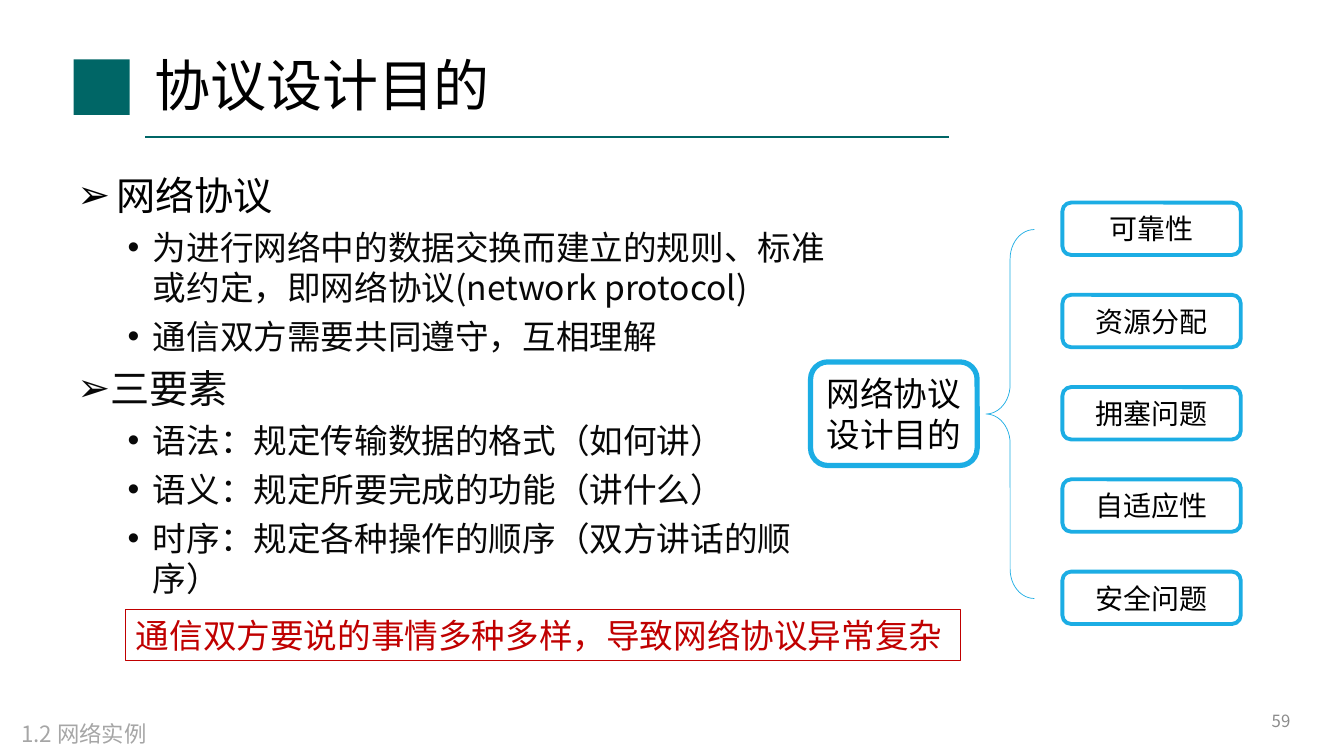
from lxml import etree
from pptx import Presentation
from pptx.dml.color import RGBColor
from pptx.enum.shapes import MSO_CONNECTOR, MSO_SHAPE
from pptx.enum.text import MSO_ANCHOR, PP_ALIGN
from pptx.oxml.ns import qn
from pptx.util import Pt

FONT = "Noto Sans CJK SC"
BLACK = RGBColor(0x00, 0x00, 0x00)
INK = RGBColor(0x08, 0x08, 0x08)
WHITE = RGBColor(0xFF, 0xFF, 0xFF)
TEAL = RGBColor(0x00, 0x66, 0x66)
BLUE = RGBColor(0x1C, 0xAD, 0xE4)
RED = RGBColor(0xC0, 0x00, 0x00)
NUMBER_GRAY = RGBColor(0x8C, 0x8C, 0x8C)
FOOTER_GRAY = RGBColor(0xA6, 0xA6, 0xA6)
LEFT, CENTER, RIGHT = PP_ALIGN.LEFT, PP_ALIGN.CENTER, PP_ALIGN.RIGHT
TOP, MIDDLE = MSO_ANCHOR.TOP, MSO_ANCHOR.MIDDLE
RECT, ROUND, BRACE = MSO_SHAPE.RECTANGLE, MSO_SHAPE.ROUNDED_RECTANGLE, MSO_SHAPE.LEFT_BRACE


def write(sp, text, size, color=BLACK, align=LEFT, anchor=TOP, wrap=True,
          before=0, bullet=None, margin=0, hanging=0, add=False):
    """Fill a shape with one paragraph per line, or add them after its text."""
    tf = sp.text_frame
    tf.word_wrap = wrap
    tf.vertical_anchor = anchor
    for i, line in enumerate(text.split("\n")):
        p = tf.add_paragraph() if add or i else tf.paragraphs[0]
        p.alignment = align
        p.space_before = Pt(before)
        if bullet:
            pPr = p._p.get_or_add_pPr()
            pPr.set("marL", str(Pt(margin)))
            pPr.set("indent", str(-Pt(hanging)))
            etree.SubElement(pPr, qn("a:buFont")).set("typeface", "Arial")
            etree.SubElement(pPr, qn("a:buChar")).set("char", bullet)
        r = p.add_run()
        r.text = line
        r.font.size = Pt(size)
        r.font.name = FONT
        r.font.color.rgb = color
        etree.SubElement(r._r.get_or_add_rPr(), qn("a:ea")).set("typeface", FONT)


def add_shape(kind, x, y, w, h, fill=None, line=None, weight=1):
    sp = s.shapes.add_shape(kind, Pt(x), Pt(y), Pt(w), Pt(h))
    sp.shadow.inherit = False
    if fill is None:
        sp.fill.background()
    else:
        sp.fill.solid()
        sp.fill.fore_color.rgb = fill
    if line is None:
        sp.line.fill.background()
    else:
        sp.line.color.rgb = line
        sp.line.width = Pt(weight)
    return sp


prs = Presentation()
prs.slide_width, prs.slide_height = Pt(960), Pt(540)
s = prs.slides.add_slide(prs.slide_layouts[5])

# Header
title = s.shapes.title
title.left, title.top, title.width, title.height = Pt(103), Pt(28.8), Pt(647), Pt(69)
write(title, "协议设计目的", 40, anchor=MIDDLE)
title.text_frame.paragraphs[0].line_spacing = 0.9
add_shape(RECT, 52.6, 42.5, 40, 39.6, fill=TEAL)
rule = s.shapes.add_connector(MSO_CONNECTOR.STRAIGHT, Pt(103.7), Pt(97.9), Pt(678), Pt(97.9))
rule.line.color.rgb = TEAL
rule.line.width = Pt(1.5)
etree.SubElement(rule._element.spPr, qn("a:effectLst"))

# Outline: heading, heading colour, heading indent, points
outline = [
    ("网络协议", BLACK, 28, [
        "为进行网络中的数据交换而建立的规则、标准或约定，即网络协议(network protocol)",
        "通信双方需要共同遵守，互相理解",
    ]),
    ("三要素", INK, 18, [
        "语法：规定传输数据的格式（如何讲）",
        "语义：规定所要完成的功能（讲什么）",
        "时序：规定各种操作的顺序（双方讲话的顺序）",
    ]),
]
body = s.shapes.add_textbox(Pt(48.2), Pt(118.8), Pt(564.5), Pt(289.5))
for i, (heading, color, indent, points) in enumerate(outline):
    write(body, heading, 28, color, before=6 if i else 0, bullet="➢",
          margin=indent, hanging=indent, add=i > 0)
    write(body, "\n".join(points), 24, INK, before=6, bullet="•",
          margin=54, hanging=18, add=True)

# Goals diagram
root = add_shape(ROUND, 579, 258.5, 119, 74, WHITE, BLUE, 3.75)
write(root, "网络协议\n设计目的", 24, align=CENTER, anchor=MIDDLE)
goals = ["可靠性", "资源分配", "拥塞问题", "自适应性", "安全问题"]
for i, goal in enumerate(goals):
    card = add_shape(ROUND, 758.9, 144.7 + 65.9 * i, 127.4, 37.4, WHITE, BLUE, 2.75)
    write(card, goal, 20, align=CENTER, anchor=MIDDLE)
brace = add_shape(BRACE, 704.2, 164, 34.6, 263.5, line=BLUE, weight=0.5)
brace.adjustments[0] = 0.605

# Conclusion and footer
conclusion = add_shape(RECT, 90, 435.6, 596, 36.2, line=RED, weight=0.75)
write(conclusion, "通信双方要说的事情多种多样，导致网络协议异常复杂", 24, RED, wrap=False)
number = s.shapes.add_textbox(Pt(712.8), Pt(500.4), Pt(216), Pt(28.8))
write(number, "59", 12, NUMBER_GRAY, align=RIGHT, anchor=MIDDLE)
footer = s.shapes.add_textbox(Pt(8), Pt(511.2), Pt(196.5), Pt(26.6))
write(footer, "1.2 网络实例", 16, FOOTER_GRAY)

prs.save("out.pptx")
